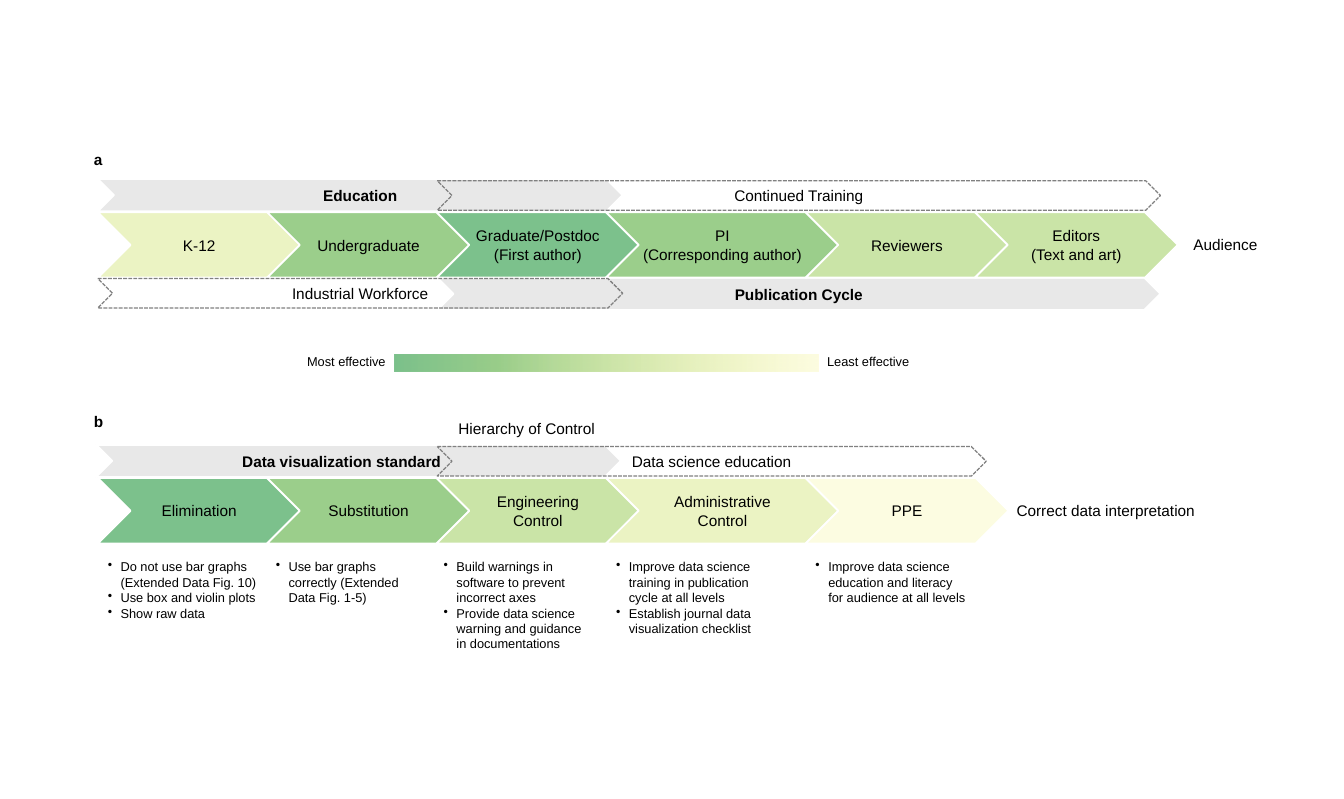
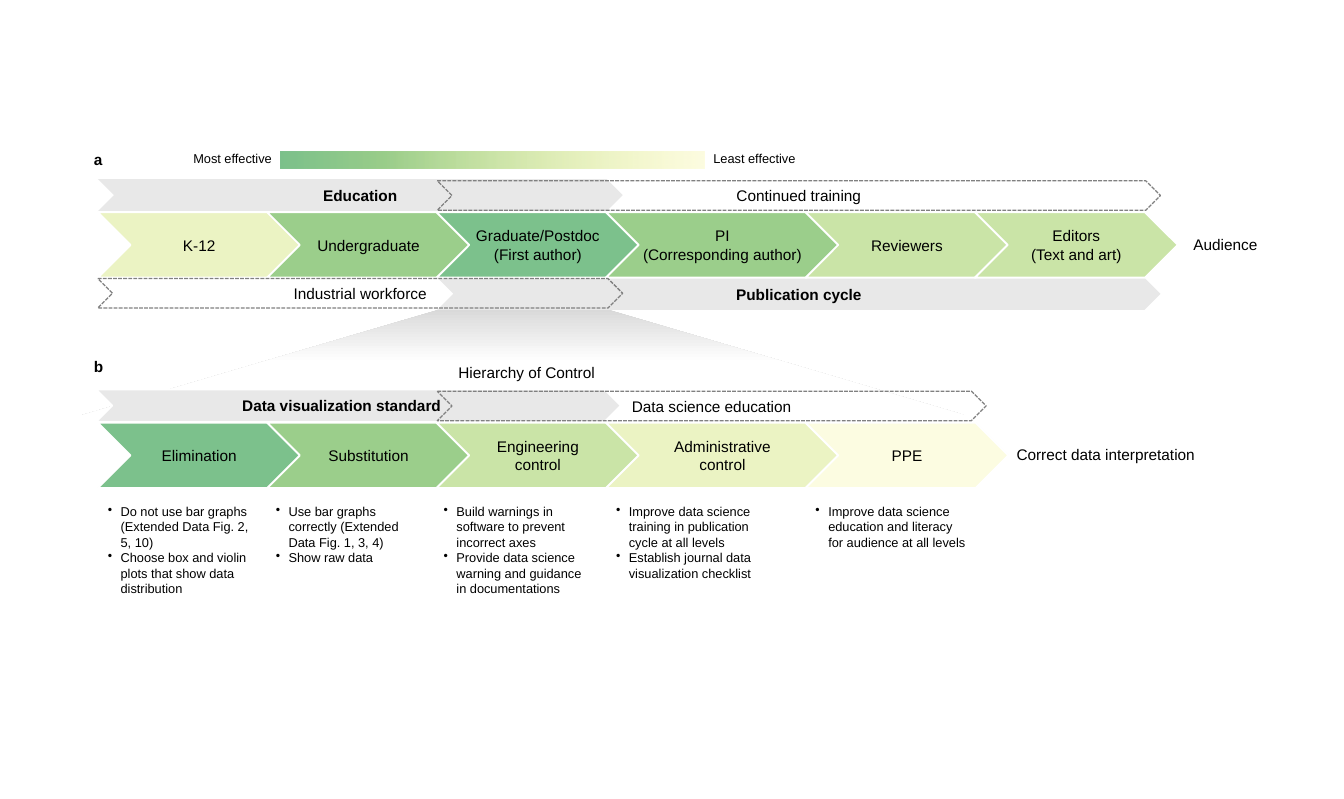
from lxml.etree import SubElement
from pptx import Presentation
from pptx.dml.color import RGBColor
from pptx.enum.dml import MSO_LINE
from pptx.enum.shapes import MSO_SHAPE as SHAPE
from pptx.enum.text import MSO_ANCHOR as ANCHOR, MSO_AUTO_SIZE as AUTO_SIZE, PP_ALIGN as ALIGN
from pptx.oxml.ns import qn
from pptx.util import Pt

COLOURS = {
    "text": "000000", "edge": "FFFFFF", "band": "E8E8E8", "dash": "808080", "funnel": "D1D1D1",
    "best": "5CB270", "good": "82C26E", "middle": "A8D26D", "weak": "CEE26B", "least": "F4F269",
}
OPACITY = {"best": 80, "good": 80, "middle": 60, "weak": 40, "least": 20}
FONT = "Arial"
LEFT = 76.3
STAGE_WIDTH, WIDE_STAGE, STAGE_HEIGHT, OVERLAP = 158.4, 182, 51.1, 26.2
EDUCATION = (LEFT, 409.7)
TRAINING = (341.3, 564.5)
SCIENCE_EDUCATION = (341.3, 428.4)
STANDARD = (74.9, 409.7)
LIST_LEFTS = (LEFT, 207.4, 338.4, 473, 628.6)

COMMON_LISTS = [
    ["Build warnings in software to prevent incorrect axes",
     "Provide data science warning and guidance in documentations"],
    ["Improve data science training in publication cycle at all levels",
     "Establish journal data visualization checklist"],
    ["Improve data science education and literacy for audience at all levels"],
]
FIRST_LISTS = [
    ["Do not use bar graphs (Extended Data Fig. 10)", "Use box and violin plots", "Show raw data"],
    ["Use bar graphs correctly (Extended Data Fig. 1-5)"],
]
SECOND_LISTS = [
    ["Do not use bar graphs (Extended Data Fig. 2, 5, 10)",
     "Choose box and violin plots that show data distribution"],
    ["Use bar graphs correctly (Extended Data Fig. 1, 3, 4)", "Show raw data"],
]


def colour(name):
    """Return the named colour."""
    return RGBColor.from_string(COLOURS[name])


def write(frame, text, size=12, bold=False, align=ALIGN.LEFT, bullet=False):
    """Fill a text frame, one paragraph a line, in the shared style."""
    frame.word_wrap = True
    frame.auto_size = AUTO_SIZE.NONE
    frame.text = text
    for paragraph in frame.paragraphs:
        paragraph.alignment = align
        if bullet:
            properties = paragraph._p.get_or_add_pPr()
            properties.set("marL", str(Pt(10.8)))
            properties.set("indent", str(-Pt(10)))
            SubElement(properties, qn("a:buChar")).set("char", "•")
        font = paragraph.font
        font.name, font.size, font.bold = FONT, Pt(size), bold
        font.color.rgb = colour("text")


def add_label(slide, left, top, width, text, height=21.6, **style):
    """Add a text box."""
    box = slide.shapes.add_textbox(Pt(left), Pt(top), Pt(width), Pt(height))
    write(box.text_frame, text, **style)


def add_preset(slide, kind, left, top, width, height):
    """Add a preset shape without shadow or outline."""
    shape = slide.shapes.add_shape(kind, Pt(left), Pt(top), Pt(width), Pt(height))
    shape.shadow.inherit = False
    shape.line.fill.background()
    return shape


def set_edge(shape, name, width):
    """Outline a shape."""
    shape.line.color.rgb = colour(name)
    shape.line.width = Pt(width)


def add_chevron(slide, left, top, width, height, text, bold=False, right_inset=2.9):
    """Add a chevron with centred text."""
    shape = add_preset(slide, SHAPE.CHEVRON, left, top, width, height)
    frame = shape.text_frame
    frame.margin_left = frame.margin_top = frame.margin_bottom = Pt(2.9)
    frame.margin_right = Pt(right_inset)
    frame.vertical_anchor = ANCHOR.MIDDLE
    write(frame, text, bold=bold, align=ALIGN.CENTER)
    return shape


def add_band(slide, span, top, text, edged=True, right_inset=2.9):
    """Add a solid grey band."""
    left, width = span
    band = add_chevron(slide, left, top, width, 25.2, text, True, right_inset)
    band.fill.solid()
    band.fill.fore_color.rgb = colour("band")
    if edged:
        set_edge(band, "edge", 1.5)


def add_dashed_band(slide, span, top, text):
    """Add an unfilled band with a dashed outline."""
    left, width = span
    band = add_chevron(slide, left, top, width, 23, text)
    band.fill.background()
    set_edge(band, "dash", 1)
    band.line.dash_style = MSO_LINE.SQUARE_DOT
    band.line._ln.find(qn("a:prstDash")).set("val", "sysDash")


def add_alpha(colour_element, percent):
    """Give a colour element an opacity."""
    SubElement(colour_element, qn("a:alpha")).set("val", str(percent * 1000))


def add_stages(slide, top, stages):
    """Add the row of overlapping stages, the fourth one wider."""
    left = LEFT
    for index, (text, shade) in enumerate(stages):
        width = WIDE_STAGE if index == 3 else STAGE_WIDTH
        stage = add_chevron(slide, left, top, width, STAGE_HEIGHT, text)
        stage.fill.solid()
        stage.fill.fore_color.rgb = colour(shade)
        add_alpha(stage.element.spPr.find(qn("a:solidFill"))[0], OPACITY[shade])
        set_edge(stage, "edge", 1.5)
        left += width - OVERLAP


def set_gradient(shape, stops, angle):
    """Fill a shape with a gradient of (percent, colour name) stops."""
    shape.fill.gradient()
    shape.fill.gradient_angle = angle
    stop_list = shape.element.spPr.find(qn("a:gradFill")).find(qn("a:gsLst"))
    for stop in list(stop_list):
        stop_list.remove(stop)
    for percent, name in stops:
        stop = SubElement(stop_list, qn("a:gs"))
        stop.set("pos", str(percent * 1000))
        element = SubElement(stop, qn("a:srgbClr"))
        element.set("val", COLOURS[name])
        if name in OPACITY:
            add_alpha(element, OPACITY[name])


def add_legend(slide, left, top):
    """Add the effectiveness scale with a label at each end."""
    width, label_width = 330.5, 90
    bar = add_preset(slide, SHAPE.RECTANGLE, left, top, width, 13)
    set_gradient(bar, [(25 * index, name) for index, name in enumerate(OPACITY)], 0)
    add_label(slide, left - label_width, top - 4, label_width, "Most effective",
              size=10, align=ALIGN.RIGHT)
    add_label(slide, left + width, top - 4, label_width, "Least effective", size=10)


def add_funnel(slide):
    """Add the fading trapezoid that links the two sections."""
    funnel = add_preset(slide, SHAPE.TRAPEZOID, 64.1, 232.6, 689, 91.4)
    funnel.adjustments[0] = 3.385
    set_gradient(funnel, [(0, "funnel"), (55, "edge")], 270)


def add_audience_section(slide, top, names, edged):
    """Add section a around the stage row at the given top."""
    training, workforce, publication = names
    add_band(slide, EDUCATION, top - 25.9, "Education", edged)
    add_band(slide, TRAINING, top + 51.1, publication, edged)
    add_stages(slide, top, [
        ("K-12", "weak"), ("Undergraduate", "good"), ("Graduate/Postdoc\n(First author)", "best"),
        ("PI\n(Corresponding author)", "good"), ("Reviewers", "middle"),
        ("Editors\n(Text and art)", "middle"),
    ])
    add_label(slide, 924.4, top + 14.4, 80, "Audience")
    add_dashed_band(slide, TRAINING, top - 24.5, training)
    add_dashed_band(slide, EDUCATION, top + 51.8, workforce)
    add_label(slide, 66.2, top - 51.8, 24, "a", bold=True)


def add_control_section(slide, top, control, lists):
    """Add section b around the stage row at the given top."""
    add_band(slide, STANDARD, top - 25.9, "Data visualization standard", right_inset=28.9)
    add_stages(slide, top, [
        ("Elimination", "best"), ("Substitution", "good"), (f"Engineering\n{control}", "middle"),
        (f"Administrative\n{control}", "weak"), ("PPE", "least"),
    ])
    add_label(slide, 786.3, top + 14.4, 170, "Correct data interpretation")
    for left, items in zip(LIST_LEFTS, lists):
        add_label(slide, left, top + 59.8, 132.5, "\n".join(items), height=80, size=10, bullet=True)
    add_dashed_band(slide, SCIENCE_EDUCATION, top - 24.5, "Data science education")
    add_label(slide, 66.2, top - 54.7, 24, "b", bold=True)
    title = slide.shapes.title
    title.left, title.top, title.width, title.height = Pt(LEFT), Pt(top - 49.7), Pt(669.6), Pt(21.6)
    title.text_frame.vertical_anchor = ANCHOR.TOP
    write(title.text_frame, "Hierarchy of Control", align=ALIGN.CENTER)
    title.element.getparent().append(title.element)


def main():
    """Build both versions of the figure."""
    presentation = Presentation()
    presentation.slide_width, presentation.slide_height = Pt(1049), Pt(623.5)
    layout = presentation.slide_layouts[5]

    first = presentation.slides.add_slide(layout)
    add_audience_section(
        first, 165.6, ("Continued Training", "Industrial Workforce", "Publication Cycle"), True)
    add_legend(first, 308, 276.8)
    add_control_section(first, 373, "Control", FIRST_LISTS + COMMON_LISTS)

    second = presentation.slides.add_slide(layout)
    add_funnel(second)
    add_audience_section(
        second, 165.6, ("Continued training", "Industrial workforce", "Publication cycle"), False)
    add_legend(second, 219.2, 118.4)
    add_control_section(second, 329.8, "control", SECOND_LISTS + COMMON_LISTS)

    presentation.save("out.pptx")


if __name__ == "__main__":
    main()
